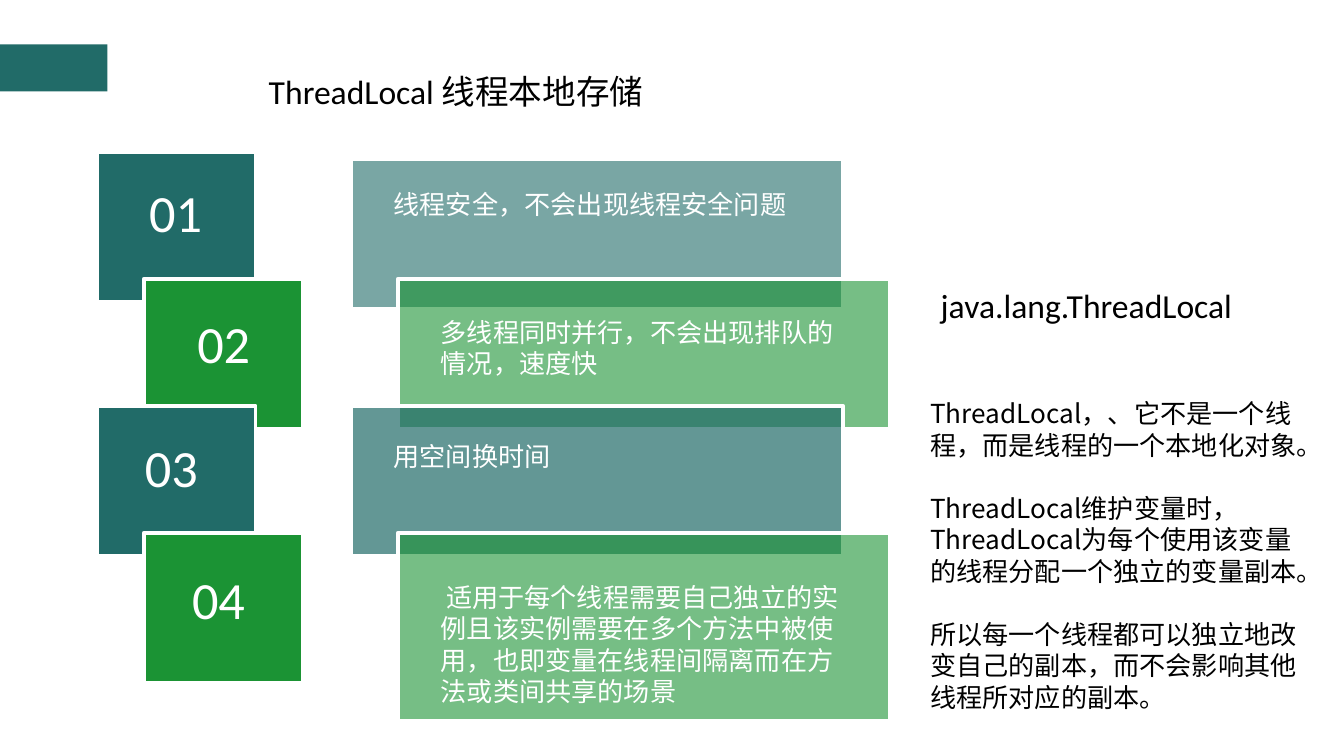
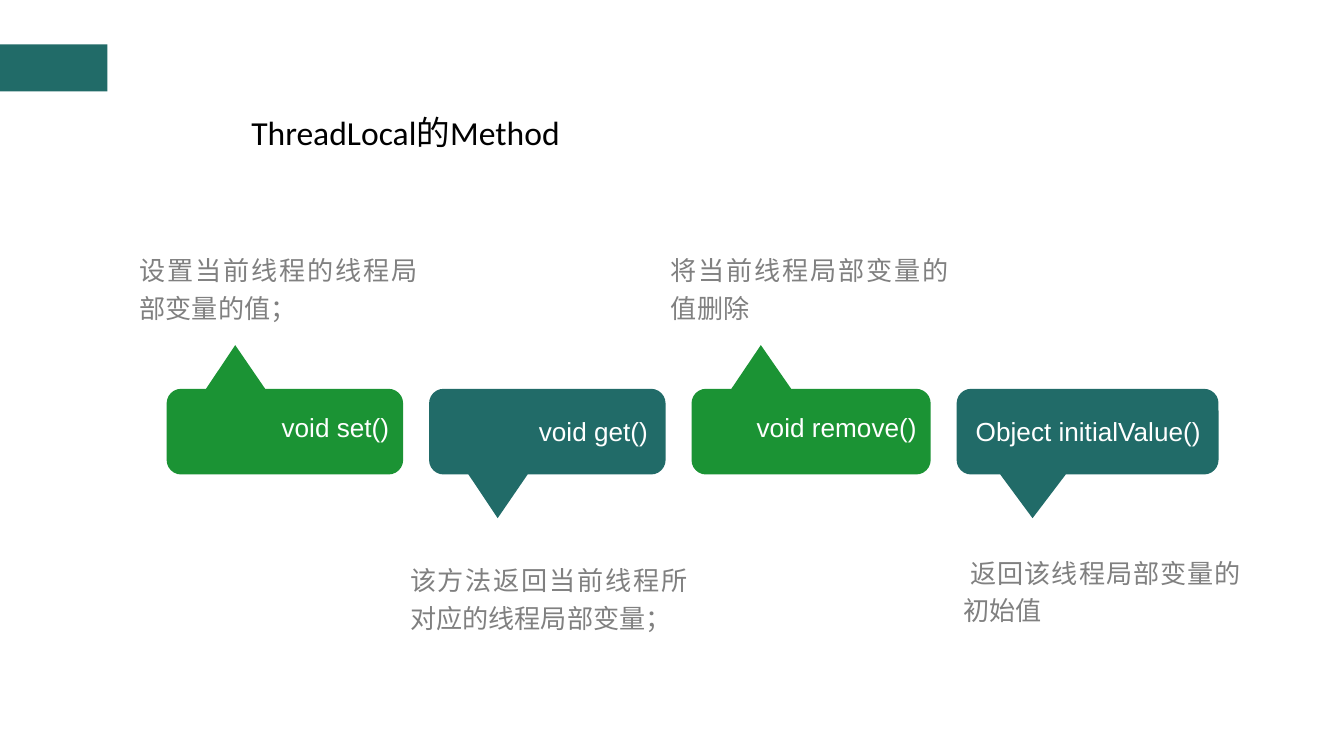
from pptx import Presentation, util as u
from pptx.dml.color import RGBColor
from pptx.enum import shapes, text
from pptx.oxml.ns import qn
from lxml import etree

TEAL, GREEN, WHITE, BLACK, GREY = "216B68", "1B9334", "FFFFFF", "000000", "808080"
CALIBRI, HAN, ARIAL = "Calibri", "Noto Sans CJK SC", "Arial"
RECT = shapes.MSO_SHAPE.RECTANGLE
CALLOUT = shapes.MSO_SHAPE.ROUNDED_RECTANGULAR_CALLOUT
ALIGN = text.PP_ALIGN


def rgb(value):
    """Turn a hex string into a colour."""
    return RGBColor.from_string(value)


class Deck:
    """Holds the shared style and the current slide; lengths are in cm."""

    def __init__(self):
        """Open an empty presentation of the right size."""
        self.prs = Presentation()
        self.prs.slide_width, self.prs.slide_height = u.Cm(25.4), u.Cm(14.29)

    def new_slide(self, title, left, top, width):
        """Start a slide with the side band and a title."""
        self.slide = self.prs.slides.add_slide(self.prs.slide_layouts[6])
        self.canvas = self.slide.shapes
        self.box(0, 0.84, 2.03, 0.89, TEAL)
        self.heading(title, left, top, width)

    def group(self):
        """Send the next elements into a new group."""
        self.canvas = self.slide.shapes.add_group_shape().shapes

    def ungroup(self):
        """Send the next elements straight to the slide."""
        self.canvas = self.slide.shapes

    def box(self, left, top, width, height, fill, line=None, opacity=100, kind=RECT):
        """Draw a filled shape, outlined and see-through on request."""
        shape = self.canvas.add_shape(kind, *map(u.Cm, (left, top, width, height)))
        shape.shadow.inherit = False
        shape.fill.solid()
        shape.fill.fore_color.rgb = rgb(fill)
        if opacity < 100:
            colour = shape.fill._xPr.find(qn("a:solidFill"))[0]
            etree.SubElement(colour, qn("a:alpha"), val=str(opacity * 1000))
        if line:
            shape.line.color.rgb = rgb(line)
            shape.line.width = u.Pt(2)
        else:
            shape.line.fill.background()
        return shape

    def set_words(self, frame, words, size, font, colour, align=ALIGN.LEFT,
                  spacing=None, before=0, after=0, indent=0):
        """Fill a text frame and format its paragraphs and runs."""
        frame.word_wrap = True
        frame.text = words
        for paragraph in frame.paragraphs:
            paragraph.alignment = align
            paragraph.line_spacing = spacing
            paragraph.space_before, paragraph.space_after = u.Pt(before), u.Pt(after)
            if indent:
                paragraph._p.get_or_add_pPr().set("indent", str(u.Cm(indent)))
            for run in paragraph.runs:
                run.font.size, run.font.name = u.Pt(size), font
                run.font.color.rgb = rgb(colour)
                east_asian = etree.SubElement(run.font._element, qn("a:ea"))
                east_asian.set("typeface", HAN)

    def label(self, words, left, top, width, height, size=14, font=HAN,
              colour=WHITE, inset=(0.25, 0.13), fit=True, **style):
        """Place a text box; it grows with its text or centres it vertically."""
        area = self.canvas.add_textbox(*map(u.Cm, (left, top, width, height)))
        frame = area.text_frame
        frame.margin_left = frame.margin_right = u.Cm(inset[0])
        frame.margin_top = frame.margin_bottom = u.Cm(inset[1])
        self.set_words(frame, words, size, font, colour, **style)
        if fit:
            frame.auto_size = text.MSO_AUTO_SIZE.SHAPE_TO_FIT_TEXT
        else:
            frame.vertical_anchor = text.MSO_ANCHOR.MIDDLE

    def heading(self, words, left, top, width):
        """Place a heading in the title style."""
        self.label(words, left, top, width, 1.02, 18, CALIBRI, BLACK)

    def callout(self, words, left, top, width, height, upward):
        """Draw a method bubble whose tip points up or down."""
        bubble = self.box(left, top, width, height, GREEN if upward else TEAL, kind=CALLOUT)
        bubble.adjustments[0] = -0.21
        bubble.adjustments[1] = -1.01 if upward else 1.01
        bubble.adjustments[2] = 0.17
        frame = bubble.text_frame
        frame.vertical_anchor = text.MSO_ANCHOR.MIDDLE
        frame.margin_right = u.Cm(0.18 if upward else 0.25)
        frame.margin_bottom = u.Cm(0.31 if upward else 0.13)
        self.set_words(frame, words, 14, ARIAL, WHITE, align=ALIGN.RIGHT)

    def note(self, words, left, top, height, indent=0):
        """Place the grey explanation of a method."""
        self.label(words, left, top, 5.51, height, colour=GREY, inset=(0.13, 0.13),
                   fit=False, align=ALIGN.JUSTIFY, spacing=1.2, before=6, after=6,
                   indent=indent)


deck = Deck()

# Slide 1: features of ThreadLocal
deck.new_slide("ThreadLocal 线程本地存储", 4.83, 1.22, 15.9)
FIRST_TOP, STEP, SHIFT, TILE_HEIGHT = 2.87, 2.4, 0.89, 2.84
number_offsets = [(0.51, 0.64), (0.53, 0.71), (0.43, 0.66), (0.43, 0.76)]
for i, (dx, dy) in enumerate(number_offsets):
    left, top = 1.83 + i % 2 * SHIFT, FIRST_TOP + i * STEP
    deck.group()
    deck.box(left, top, 3, TILE_HEIGHT, (TEAL, GREEN)[i % 2], WHITE)
    deck.label(f"{i + 1:02}", left + dx, top + dy, 1.96, 1.24, 28, CALIBRI,
               align=ALIGN.CENTER, spacing=0.8)

# words, top nudge, card height, opacity, text offset, text height, first-line indent
features = [
    ("线程安全，不会出现线程安全问题", 0.13, TILE_HEIGHT, 60, 0.43, 0.86, 0),
    ("多线程同时并行，不会出现排队的情况，速度快", 0, TILE_HEIGHT, 60, 0.58, 1.45, 0),
    ("用空间换时间", 0, TILE_HEIGHT, 70, 0.53, 0.86, 0),
    ("适用于每个线程需要自己独立的实例且该实例需要在多个方法中被使用，"
     "也即变量在线程间隔离而在方法或类间共享的场景", 0, 3.56, 60, 0.79, 2.64, 0.1),
]
for i, (words, nudge, height, opacity, dy, text_height, indent) in enumerate(features):
    left, top = 6.63 + i % 2 * SHIFT, FIRST_TOP + i * STEP + nudge
    deck.group()
    deck.box(left, top, 9.3, height, (TEAL, GREEN)[i % 2], WHITE, opacity)
    deck.label(words, left + 0.56, top + dy, 8.18, text_height, indent=indent)

deck.ungroup()
explanation = [
    "ThreadLocal，、它不是一个线程，而是线程的一个本地化对象。",
    "ThreadLocal维护变量时，ThreadLocal为每个使用该变量的线程分配一个独立的变量副本。",
    "所以每一个线程都可以独立地改变自己的副本，而不会影响其他线程所对应的副本。",
]
deck.label("\n".join(explanation), 17.4, 7.42, 7.59, 6.17, colour=BLACK,
           inset=(0.18, 0.1), after=17)
deck.heading("java.lang.ThreadLocal", 17.53, 5.26, 7.87)

# Slide 2: methods of ThreadLocal
deck.new_slide("ThreadLocal的Method", 4.5, 1.98, 14.66)
# signature, bubble width, explanation, its left, top, height and indent
methods = [
    ("void set()", 4.47, "设置当前线程的线程局部变量的值；", 2.51, 3.91, 3, 0),
    ("void get()", 4.47, "该方法返回当前线程所对应的线程局部变量；", 7.62, 9.68, 3.18, 0),
    ("void remove()", 4.52, "将当前线程局部变量的值删除", 12.55, 3.91, 3, 0),
    ("Object initialValue()", 4.95, "返回该线程局部变量的初始值", 18.08, 9.53, 3.18, 0.13),
]
GAP = 0.49
left = 3.15
for i, (signature, width, words, *place) in enumerate(methods):
    deck.callout(signature, left, 7.35, width, 1.62, upward=i % 2 == 0)
    deck.note(words, *place)
    left += width + GAP

deck.prs.save("out.pptx")
